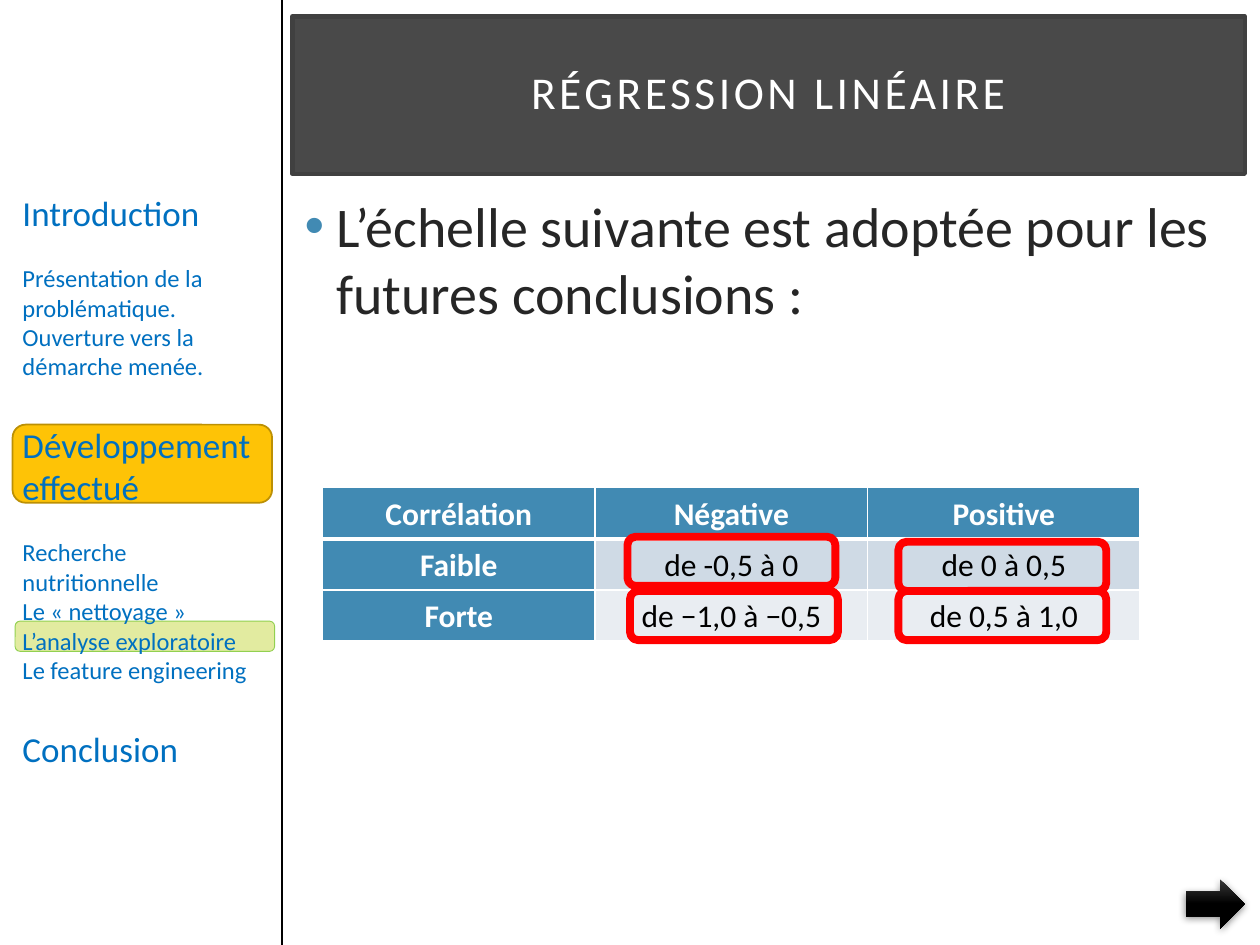
from lxml import etree
from pptx import Presentation
from pptx import util as u
from pptx.dml import color as dml
from pptx.enum import shapes, text
from pptx.oxml import ns

ACCENT = "418AB3"
WHITE = "FFFFFF"
BLUE = "0070C0"
BLACK = "000000"


def rgb(value):
    return dml.RGBColor.from_string(value)


def assign(target, values):
    for name, value in values.items():
        setattr(target, name, value)


def add_node(parent, tag, **attributes):
    return etree.SubElement(parent, ns.qn(tag), attributes)


class SlideBuilder:
    font = "Calibri"

    def __init__(self, page):
        self.page = page

    def paint(self, item, fill=None, line=None, weight=1):
        if fill:
            item.fill.solid()
            item.fill.fore_color.rgb = rgb(fill)
        else:
            item.fill.background()
        if line:
            item.line.color.rgb = rgb(line)
            item.line.width = u.Pt(weight)
        else:
            item.line.fill.background()

    def add_text(self, para, words, size, color, bold=False, **layout):
        assign(para, layout)
        span = para.add_run()
        span.text = words
        assign(span.font, {"name": self.font, "size": u.Pt(size), "bold": bold})
        span.font.color.rgb = rgb(color)
        return span

    def title(self, words, bounds):
        box = self.page.shapes.title
        sides = ("left", "top", "width", "height")
        assign(box, dict(zip(sides, map(u.Inches, bounds))))
        self.paint(box, "0D0D0D", "404040", 2.5)
        fill_color = box._element.spPr.find(ns.qn("a:solidFill"))[0]
        add_node(fill_color, "a:alpha", val="75000")
        frame = box.text_frame
        margins = ("margin_left", "margin_top", "margin_right", "margin_bottom")
        assign(frame, dict.fromkeys(margins, u.Inches(0.2)))
        assign(frame, {"word_wrap": True, "vertical_anchor": text.MSO_ANCHOR.MIDDLE,
                       "auto_size": text.MSO_AUTO_SIZE.NONE})
        span = self.add_text(frame.paragraphs[0], words, 26, WHITE,
                             alignment=text.PP_ALIGN.CENTER, line_spacing=0.9)
        span.font._element.set("spc", "200")

    def text_box(self, bounds):
        box = self.page.shapes.add_textbox(*map(u.Inches, bounds))
        box.text_frame.word_wrap = True
        return box.text_frame

    def outline(self, entries, bounds):
        frame = self.text_box(bounds)
        for index, (words, size, gap) in enumerate(entries):
            para = frame.add_paragraph() if index else frame.paragraphs[0]
            self.add_text(para, words, size, BLUE, space_before=u.Pt(gap))

    def bullet(self, words, bounds):
        para = self.text_box(bounds).paragraphs[0]
        self.add_text(para, words, 32, "262626",
                      space_before=u.Pt(6), space_after=u.Pt(6))
        properties = para._p.get_or_add_pPr()
        indent = u.Inches(0.25)
        properties.set("marL", str(indent))
        properties.set("indent", str(-indent))
        add_node(add_node(properties, "a:buClr"), "a:srgbClr", val=ACCENT)
        add_node(properties, "a:buFont", typeface="Arial")
        add_node(properties, "a:buChar", char="•")

    def shape(self, kind, bounds, fill=None, line=None, weight=1):
        item = self.page.shapes.add_shape(kind, *map(u.Inches, bounds))
        item.shadow.inherit = False
        self.paint(item, fill, line, weight)
        return item

    def rounded(self, bounds, fill=None, line=None, weight=1):
        self.shape(shapes.MSO_SHAPE.ROUNDED_RECTANGLE, bounds, fill, line, weight)

    def arrow(self, bounds):
        item = self.shape(shapes.MSO_SHAPE.RIGHT_ARROW, bounds)
        item.fill.gradient()
        item.fill.gradient_angle = 270
        stops = ((0, "393939"), (0.5, BLACK))
        for stop, (position, color) in zip(item.fill.gradient_stops, stops):
            stop.position = position
            stop.color.rgb = rgb(color)
        effects = item._element.spPr.find(ns.qn("a:effectLst"))
        shadow = add_node(effects, "a:outerShdw", blurRad=str(u.Pt(4.4)),
                          dist=str(u.Pt(1.2)), dir="5400000", rotWithShape="0")
        add_node(add_node(shadow, "a:srgbClr", val=BLACK), "a:alpha", val="45000")

    def divider(self, x, height):
        line = self.page.shapes.add_connector(
            shapes.MSO_CONNECTOR.STRAIGHT, u.Inches(x), 0, u.Inches(x), u.Inches(height))
        line.line.color.rgb = rgb(BLACK)
        line.line.width = u.Pt(1)
        add_node(line._element.spPr, "a:effectLst")

    def borders(self, cell, top, bottom):
        properties = cell._tc.get_or_add_tcPr()
        weights = {"L": 1, "R": 1, "T": top, "B": bottom}
        for index, (side, weight) in enumerate(weights.items()):
            border = etree.Element(ns.qn(f"a:ln{side}"), w=str(u.Pt(weight)))
            add_node(add_node(border, "a:solidFill"), "a:srgbClr", val=WHITE)
            properties.insert(index, border)

    def table(self, rows, bounds):
        grid = self.page.shapes.add_table(
            len(rows), len(rows[0]), *map(u.Inches, bounds)).table
        grid.horz_banding = False
        bands = ("CFDAE5", "E9EDF2")
        for r, row in enumerate(rows):
            for c, words in enumerate(row):
                cell = grid.cell(r, c)
                heading = r == 0 or c == 0
                assign(cell, {"margin_left": u.Inches(0.07), "margin_right": u.Inches(0.07),
                              "margin_top": 0, "margin_bottom": 0,
                              "vertical_anchor": text.MSO_ANCHOR.MIDDLE})
                cell.fill.solid()
                cell.fill.fore_color.rgb = rgb(ACCENT if heading else bands[r - 1])
                self.borders(cell, 3 if r == 1 else 1, 3 if r == 0 else 1)
                self.add_text(cell.text_frame.paragraphs[0], words, 18,
                              WHITE if heading else BLACK, heading,
                              alignment=text.PP_ALIGN.CENTER, line_spacing=1.07)


def main():
    deck = Presentation()
    assign(deck, {"slide_width": u.Inches(10), "slide_height": u.Inches(7.5)})
    builder = SlideBuilder(deck.slides.add_slide(deck.slide_layouts[5]))

    builder.divider(2.24, 7.5)
    builder.rounded((0.1, 3.37, 2.06, 0.62), "FEC306", "BC9004")
    builder.rounded((0.12, 4.93, 2.06, 0.24), "E2EBA0", "92D050", 0.5)
    builder.outline([
        ("Introduction", 20, 0),
        ("Présentation de la problématique.", 14, 17),
        ("Ouverture vers la démarche menée.", 14, 0),
        ("Développement effectué", 20, 24.4),
        ("Recherche nutritionnelle", 14, 17),
        ("Le « nettoyage »", 14, 0),
        ("L’analyse exploratoire", 14, 0),
        ("Le feature engineering", 14, 0),
        ("Conclusion", 20, 24.4),
    ], (0.08, 1.47, 2.09, 4.71))

    builder.title("RÉGRESSION LINÉAIRE", (2.32, 0.13, 7.56, 1.25))
    builder.bullet("L’échelle suivante est adoptée pour les futures conclusions :",
                   (2.32, 1.47, 7.56, 5.91))
    builder.table([
        ("Corrélation", "Négative", "Positive"),
        ("Faible", "de -0,5 à 0", "de 0 à 0,5"),
        ("Forte", "de −1,0 à −0,5", "de 0,5 à 1,0"),
    ], (2.56, 3.87, 6.49, 1.22))
    for left, top in ((7.13, 4.69), (5, 4.69), (7.13, 4.3), (4.98, 4.26)):
        builder.rounded((left, top, 1.65, 0.39), line="FF0000", weight=4.5)
    builder.arrow((9.41, 6.98, 0.47, 0.39))
    deck.save("out.pptx")


if __name__ == "__main__":
    main()
